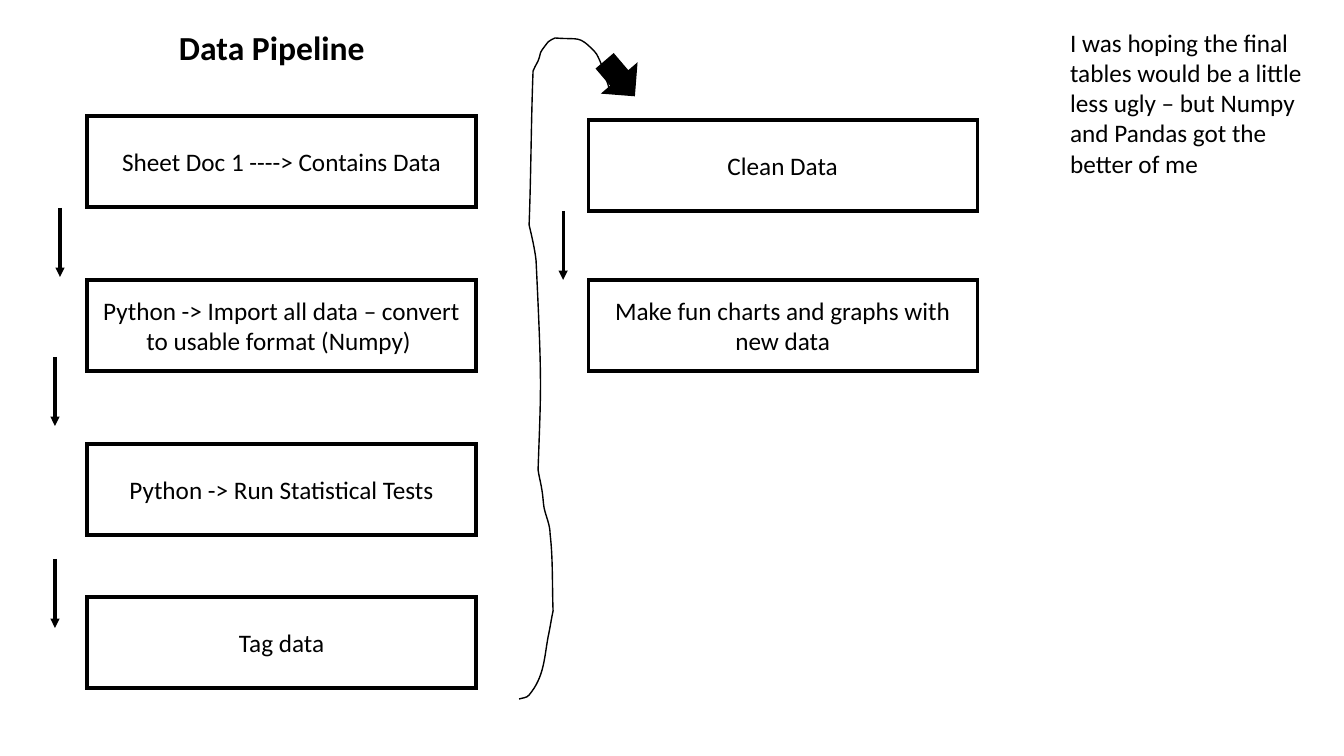
"""Build the data pipeline slide."""
from typing import NamedTuple

from lxml import etree
from pptx import Presentation
from pptx.dml.color import RGBColor
from pptx.enum.shapes import MSO_CONNECTOR as CONN, MSO_SHAPE as SHAPE
from pptx.enum.text import MSO_ANCHOR as ANCHOR, MSO_AUTO_SIZE as FIT, PP_ALIGN as ALIGN
from pptx.oxml.ns import qn
from pptx.util import Emu, Inches, Pt

BLACK = RGBColor(0, 0, 0)
WHITE = RGBColor(255, 255, 255)
FONT = "Calibri"
THICK, THIN = 2.25, 1
BOX_W, BOX_H = 389, 91
LEFT_COL, RIGHT_COL = 87, 588
ARROW_LEN = 69


class Step(NamedTuple):
    x: int
    y: int
    text: str


class Label(NamedTuple):
    x: int
    y: int
    w: int
    h: int
    text: str
    size: int
    bold: bool
    wrap: bool


class Point(NamedTuple):
    x: int
    y: int


STEPS = [
    Step(LEFT_COL, 116, "Sheet Doc 1 ----> Contains Data"),
    Step(LEFT_COL, 280, "Python -> Import all data – convert to usable format (Numpy) "),
    Step(LEFT_COL, 444, "Python -> Run Statistical Tests"),
    Step(LEFT_COL, 597, "Tag data"),
    Step(RIGHT_COL, 120, "Clean Data"),
    Step(RIGHT_COL, 280, "Make fun charts and graphs with new data"),
]
LABELS = [
    Label(169, 22, 208, 50, "Data Pipeline", 24, True, False),
    Label(1060, 22, 255, 163, "I was hoping the final tables would be a little less ugly – "
          "but Numpy and Pandas got the better of me", 18, False, True),
]
ARROW_STARTS = [Point(60, 208), Point(55, 357), Point(55, 559), Point(563, 211)]
LOOP_START = Point(519, 699)
LOOP_CURVES = [
    (522, 698, 527, 698, 529, 695), (544, 677, 544, 659, 548, 637),
    (550, 628, 551, 620, 553, 611), (552, 586, 553, 559, 550, 534),
    (550, 525, 546, 517, 544, 508), (543, 502, 543, 497, 542, 491),
    (541, 484, 539, 477, 538, 470), (541, 383, 542, 387, 536, 261),
    (535, 249, 529, 225, 529, 225), (531, 173, 531, 121, 533, 71),
    (534, 68, 536, 65, 538, 61), (542, 51, 537, 56, 548, 42),
    (550, 40, 553, 39, 555, 38), (580, 40, 578, 35, 594, 51),
    (596, 53, 597, 55, 598, 57), (601, 63, 603, 69, 605, 75),
    (606, 79, 609, 88, 609, 88),
]


def px(n: float) -> Emu:
    """Turn pixels into EMU."""
    return Emu(round(n * 914400 / 100.8))


def set_text(tf, text: str, size: int, bold: bool = False) -> None:
    """Write one styled paragraph."""
    tf.text = text
    font = tf.paragraphs[0].runs[0].font
    font.name, font.size, font.bold = FONT, Pt(size), bold
    font.color.rgb = BLACK


def outline(sp, width: float) -> None:
    """Give a shape or connector a black line with sharp corners."""
    sp.line.color.rgb = BLACK
    sp.line.width = Pt(width)
    etree.SubElement(sp.line._get_or_add_ln(), qn("a:miter"), lim="800000")


def add_step(s, step: Step) -> None:
    """Draw one pipeline box."""
    sp = s.shapes.add_shape(SHAPE.RECTANGLE, px(step.x), px(step.y), px(BOX_W), px(BOX_H))
    sp.fill.background()
    outline(sp, THICK)
    sp.shadow.inherit = False
    tf = sp.text_frame
    tf.word_wrap = True
    tf.vertical_anchor = ANCHOR.MIDDLE
    set_text(tf, step.text, 18)
    tf.paragraphs[0].alignment = ALIGN.CENTER


def add_label(s, label: Label) -> None:
    """Draw one free text box."""
    sp = s.shapes.add_textbox(px(label.x), px(label.y), px(label.w), px(label.h))
    tf = sp.text_frame
    tf.word_wrap = label.wrap
    tf.auto_size = FIT.SHAPE_TO_FIT_TEXT
    set_text(tf, label.text, label.size, label.bold)


def add_arrow(s, start: Point) -> None:
    """Draw one downward arrow."""
    x, y = start
    line = s.shapes.add_connector(CONN.STRAIGHT, px(x), px(y), px(x), px(y + ARROW_LEN))
    outline(line, THICK)
    etree.SubElement(line.line._get_or_add_ln(), qn("a:tailEnd"), type="triangle")
    etree.SubElement(line._element.spPr, qn("a:effectLst"))


def add_loop(s) -> None:
    """Draw the curve that leads to the second column."""
    builder = s.shapes.build_freeform(px(LOOP_START.x), px(LOOP_START.y))
    builder.add_line_segments([(px(c[4]), px(c[5])) for c in LOOP_CURVES], close=False)
    loop = builder.convert_to_shape()
    segments = list(loop._element.iter(qn("a:lnTo")))
    for segment, curve in zip(segments, LOOP_CURVES):
        segment.tag = qn("a:cubicBezTo")
        segment.clear()
        for x, y in zip(curve[::2], curve[1::2]):
            etree.SubElement(segment, qn("a:pt"),
                             x=str(px(x) - loop.left), y=str(px(y) - loop.top))
    loop.fill.background()
    outline(loop, THIN)
    loop.shadow.inherit = False


def add_loop_head(s) -> None:
    """Draw the block arrow at the end of the loop."""
    head = s.shapes.add_shape(SHAPE.RIGHT_ARROW, px(597), px(56), px(45), px(45))
    head.rotation = 49.5
    head.fill.solid()
    head.fill.fore_color.rgb = BLACK
    outline(head, THIN)
    head.shadow.inherit = False


def main() -> None:
    """Assemble and save the slide."""
    prs = Presentation()
    prs.slide_width, prs.slide_height = Inches(13.33), Inches(7.5)
    s = prs.slides.add_slide(prs.slide_layouts[6])
    s.background.fill.solid()
    s.background.fill.fore_color.rgb = WHITE
    for label in LABELS:
        add_label(s, label)
    for step in STEPS:
        add_step(s, step)
    for start in ARROW_STARTS:
        add_arrow(s, start)
    add_loop(s)
    add_loop_head(s)
    prs.save("out.pptx")


main()
